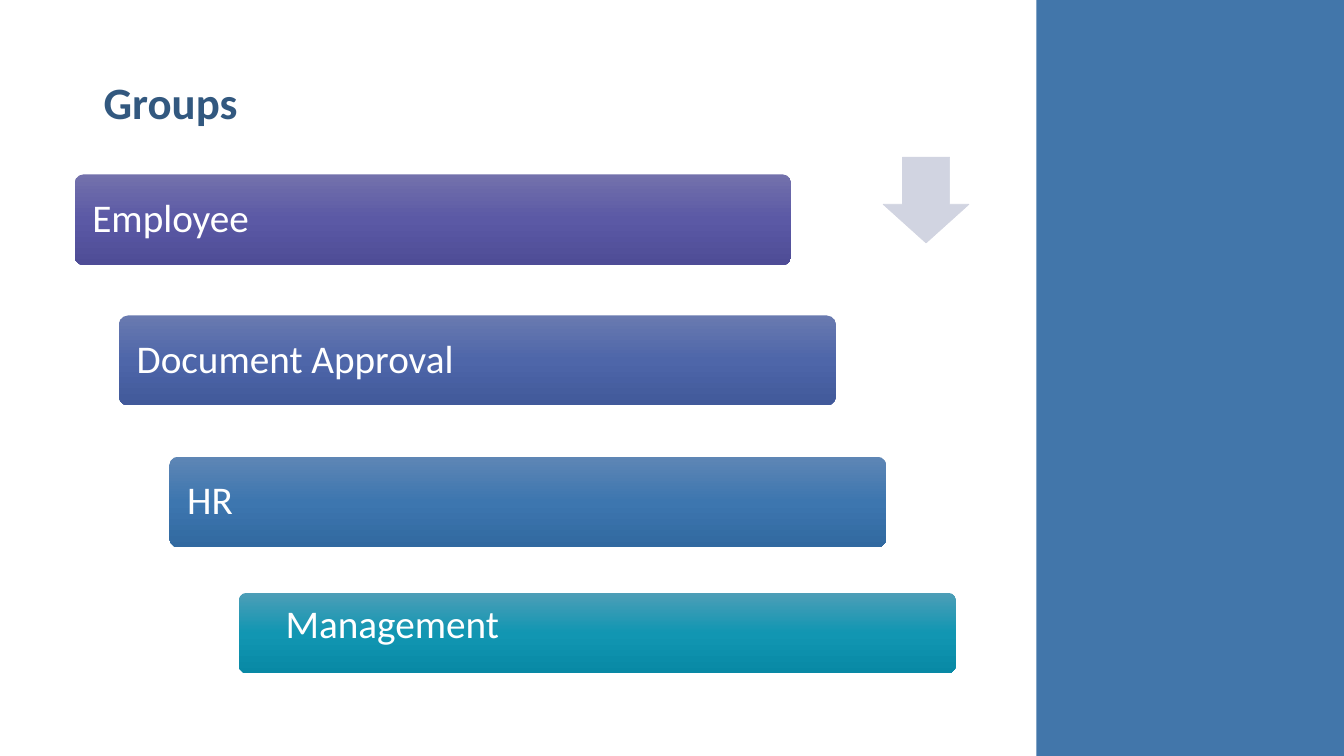
"""Build the Groups slide: four staggered gradient bars, a down arrow and a side panel."""
from copy import deepcopy

from pptx import Presentation
from pptx.dml.color import RGBColor
from pptx.enum import shapes, text
from pptx.oxml.ns import qn
from pptx.util import Inches, Pt

FONT = "Calibri"
WHITE = RGBColor(0xFF, 0xFF, 0xFF)
NAVY = RGBColor(0x32, 0x58, 0x7F)
PANEL_BLUE = RGBColor(0x42, 0x76, 0xAA)
ARROW_GREY = RGBColor(0xD1, 0xD4, 0xE1)

TITLE = "Groups"
MIDDLE = {"anchor": text.MSO_ANCHOR.MIDDLE, "left": 0.15, "top": 0.12, "spacing": 0.9}
UPPER = {"anchor": text.MSO_ANCHOR.TOP, "left": 0.44, "top": 0.04, "spacing": 1.0}
BAR_WIDTH = 7.11
BARS = [
    ("Employee", (0.74, 1.73, 0.9), ("7371AC", "5B59A5", "4E4C96"), MIDDLE),
    ("Document Approval", (1.18, 3.13, 0.89), ("697AB0", "4E66A9", "41599A"), MIDDLE),
    ("HR", (1.68, 4.53, 0.9), ("5E86B5", "3D76AF", "3169A0"), MIDDLE),
    ("Management", (2.37, 5.88, 0.8), ("4D9EB7", "1196B2", "0889A5"), UPPER),
]


def add_shape(page, kind, place, color=None, adjustments=()):
    shape = page.shapes.add_shape(kind, *map(Inches, place))
    shape.shadow.inherit = False
    shape.line.fill.background()
    for index, value in enumerate(adjustments):
        shape.adjustments[index] = value
    if color is not None:
        shape.fill.solid()
        shape.fill.fore_color.rgb = color
    return shape


def add_text(para, words, size, color, bold=False):
    para.alignment = text.PP_ALIGN.LEFT
    span = para.add_run()
    span.text = words
    span.font.name = FONT
    span.font.size = Pt(size)
    span.font.bold = bold
    span.font.color.rgb = color


def fill_gradient(shape, colors):
    shape.fill.gradient()
    shape.fill.gradient_angle = 270
    stop_list = shape._element.spPr.find(qn("a:gradFill")).find(qn("a:gsLst"))
    stop_list.insert(1, deepcopy(stop_list[0]))
    for index, (stop, color) in enumerate(zip(shape.fill.gradient_stops, colors)):
        stop.position = index / 2
        stop.color.rgb = RGBColor.from_string(color)


def add_bar(page, words, place, colors, layout):
    left, top, height = place
    bar = add_shape(page, shapes.MSO_SHAPE.ROUNDED_RECTANGLE,
                    (left, top, BAR_WIDTH, height), adjustments=(0.1,))
    fill_gradient(bar, colors)
    frame = bar.text_frame
    frame.word_wrap = True
    frame.vertical_anchor = layout["anchor"]
    frame.margin_left = Inches(layout["left"])
    frame.margin_top = frame.margin_bottom = Inches(layout["top"])
    para = frame.paragraphs[0]
    para.line_spacing = layout["spacing"]
    add_text(para, words, 28, WHITE)


def main():
    deck = Presentation()
    deck.slide_width, deck.slide_height = Inches(13.33), Inches(7.5)
    page = deck.slides.add_slide(deck.slide_layouts[6])

    add_shape(page, shapes.MSO_SHAPE.RECTANGLE, (10.28, 0, 3.05, 7.5), PANEL_BLUE)

    title = page.shapes.add_textbox(*map(Inches, (0.93, 0.69, 2.48, 0.64)))
    title.text_frame.word_wrap = True
    add_text(title.text_frame.paragraphs[0], TITLE, 32, NAVY, bold=True)

    for bar in BARS:
        add_bar(page, *bar)

    arrow = add_shape(page, shapes.MSO_SHAPE.DOWN_ARROW, (8.76, 1.56, 0.85, 0.85),
                      ARROW_GREY, (0.55, 0.45))
    arrow.line.color.rgb = ARROW_GREY
    arrow.line.width = Pt(0.5)

    deck.save("out.pptx")


if __name__ == "__main__":
    main()
